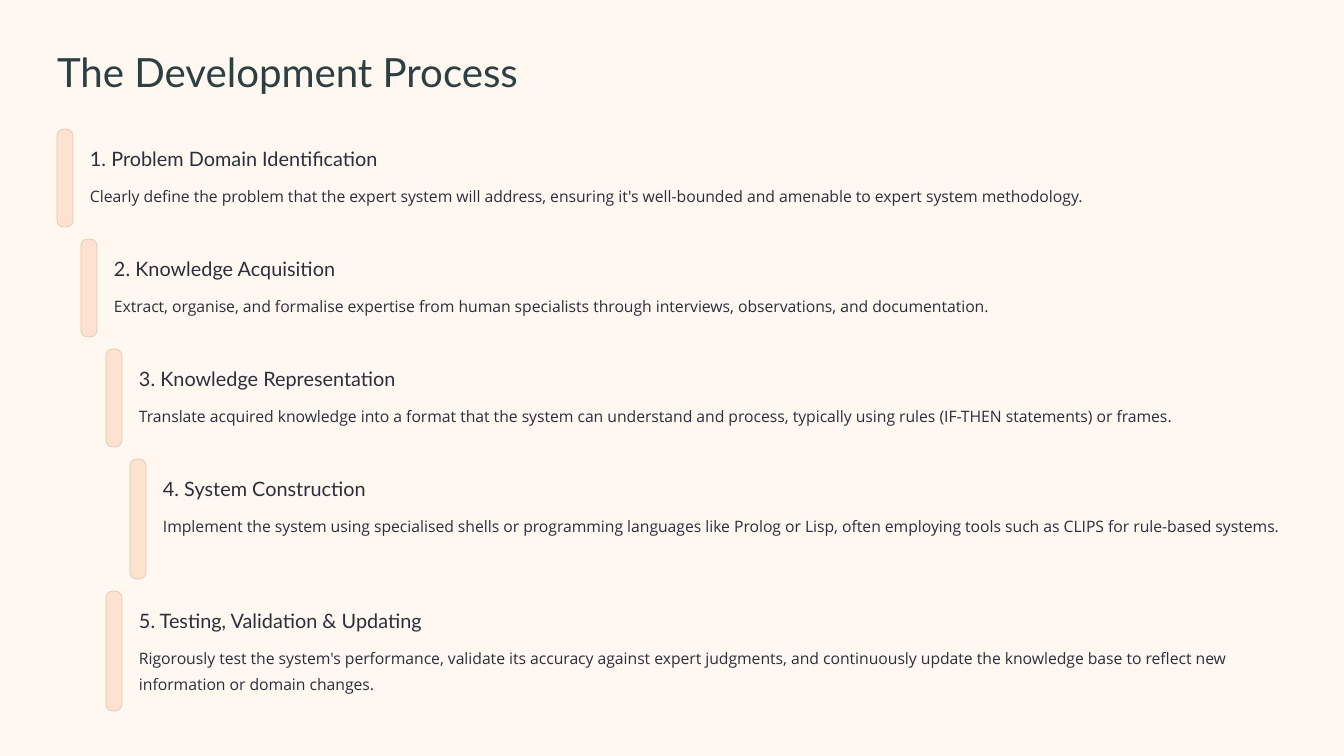
from pptx import Presentation
from pptx.dml.color import RGBColor
from pptx.enum.shapes import MSO_SHAPE as Shape
from pptx.util import Emu, Pt

PX_PER_INCH = 84
COLORS = {"background": "FFF8F0", "title": "2C3F42", "text": "2B2E3C",
          "bar": "FCE2CF", "bar_line": "E2C8B5"}
# font, size, line spacing, colour
STYLES = {"title": ("Lato", 34.5, 43.5, "title"),
          "heading": ("Lato", 17, 21.5, "text"),
          "body": ("Open Sans", 13.5, 22, "text")}

LEFT, RIGHT, TOP = 57, 1287, 129
BAR_WIDTH, GAP = 16, 12
SHORT, TALL = 98, 120

# indent level, height, heading, body
STEPS = [
    (0, SHORT, "1. Problem Domain Identification",
     "Clearly define the problem that the expert system will address, ensuring it's "
     "well-bounded and amenable to expert system methodology."),
    (1, SHORT, "2. Knowledge Acquisition",
     "Extract, organise, and formalise expertise from human specialists through "
     "interviews, observations, and documentation."),
    (2, SHORT, "3. Knowledge Representation",
     "Translate acquired knowledge into a format that the system can understand and "
     "process, typically using rules (IF-THEN statements) or frames."),
    (3, TALL, "4. System Construction",
     "Implement the system using specialised shells or programming languages like "
     "Prolog or Lisp, often employing tools such as CLIPS for rule-based systems."),
    (2, TALL, "5. Testing, Validation & Updating",
     "Rigorously test the system's performance, validate its accuracy against expert "
     "judgments, and continuously update the knowledge base to reflect new "
     "information or domain changes."),
]


def px(length):
    return Emu(round(length * 914400 / PX_PER_INCH))


def color(name):
    return RGBColor.from_string(COLORS[name])


def add_text(page, left, top, width, height, text, style):
    font, size, spacing, ink = STYLES[style]
    box = page.shapes.add_textbox(px(left), px(top), px(width), px(height))
    frame = box.text_frame
    frame.word_wrap = True
    frame.margin_left = frame.margin_right = 0
    frame.margin_top = frame.margin_bottom = 0
    para = frame.paragraphs[0]
    para.line_spacing = Pt(spacing)
    span = para.add_run()
    span.text = text
    span.font.name = font
    span.font.size = Pt(size)
    span.font.color.rgb = color(ink)


def add_bar(page, left, top, height):
    bar = page.shapes.add_shape(Shape.ROUNDED_RECTANGLE, px(left), px(top),
                                px(BAR_WIDTH), px(height))
    bar.adjustments[0] = 0.42
    bar.shadow.inherit = False
    bar.fill.solid()
    bar.fill.fore_color.rgb = color("bar")
    bar.line.color.rgb = color("bar_line")
    bar.line.width = Pt(0.6)


def add_step(page, left, top, width, height, heading, body):
    add_bar(page, left, top, height)
    text_left, text_width = left + 33, width - 33
    add_text(page, text_left, top + 16, text_width, 25, heading, "heading")
    add_text(page, text_left, top + 51, text_width, height - 68, body, "body")


def add_process_slide(deck):
    page = deck.slides.add_slide(deck.slide_layouts[6])
    page.background.fill.solid()
    page.background.fill.fore_color.rgb = color("background")
    add_text(page, LEFT, 45, RIGHT - LEFT, 51, "The Development Process", "title")
    top = TOP
    for level, height, heading, body in STEPS:
        left = LEFT + level * 49 // 2
        add_step(page, left, top, RIGHT - left, height, heading, body)
        top += height + GAP


def main():
    deck = Presentation()
    deck.slide_width, deck.slide_height = px(1344), px(756)
    add_process_slide(deck)
    deck.save("out.pptx")


if __name__ == "__main__":
    main()
